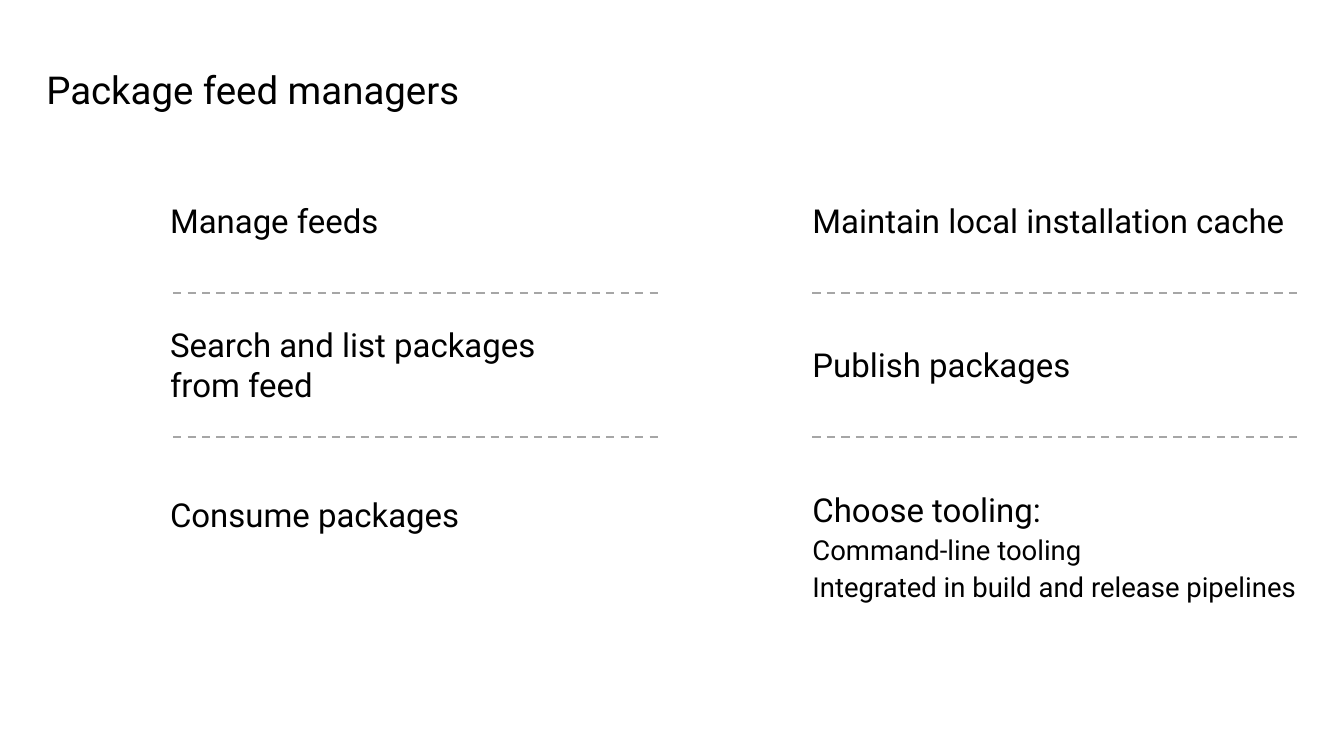
from dataclasses import dataclass

from lxml import etree
from pptx import Presentation
from pptx import util as u
from pptx.dml.color import RGBColor
from pptx.enum import dml, shapes, text
from pptx.oxml.ns import qn


@dataclass(frozen=True)
class Theme:
    font: str = "Roboto"
    ink: str = "000000"
    rule: str = "A6A6A6"
    paper: str = "FFFFFF"
    title: int = 28
    heading: int = 24
    detail: int = 20


class Deck:
    def __init__(self, theme, width, height):
        self.theme = theme
        self.prs = Presentation()
        self.prs.slide_width, self.prs.slide_height = u.Cm(width), u.Cm(height)
        self.s = self.prs.slides.add_slide(self.prs.slide_layouts[5])
        fill = self.s.background.fill
        fill.solid()
        fill.fore_color.rgb = RGBColor.from_string(theme.paper)

    def frame(self, sp, anchor):
        tf = sp.text_frame
        tf.word_wrap = True
        tf.auto_size = text.MSO_AUTO_SIZE.NONE
        tf.vertical_anchor = anchor
        tf.margin_left = tf.margin_top = tf.margin_right = tf.margin_bottom = 0
        return tf

    def set_text(self, p, words, size):
        p.text = words
        p.alignment = text.PP_ALIGN.LEFT
        for r in p.runs:
            r.font.name = self.theme.font
            r.font.size = u.Pt(size)
            r.font.color.rgb = RGBColor.from_string(self.theme.ink)

    def title(self, words, x, y, w, h):
        sp = self.s.shapes.title
        sp.left, sp.top, sp.width, sp.height = map(u.Cm, (x, y, w, h))
        p = self.frame(sp, text.MSO_ANCHOR.TOP).paragraphs[0]
        self.set_text(p, words, self.theme.title)
        p.line_spacing = u.Pt(32)

    def item(self, heading, details, x, middle, w, h):
        sp = self.s.shapes.add_textbox(*map(u.Cm, (x, middle - h / 2, w, h)))
        tf = self.frame(sp, text.MSO_ANCHOR.MIDDLE)
        self.set_text(tf.paragraphs[0], heading, self.theme.heading)
        for detail in details:
            p = tf.add_paragraph()
            self.set_text(p, detail, self.theme.detail)
            p.space_before = u.Pt(3)

    def divider(self, x, y, w):
        sp = self.s.shapes.add_connector(
            shapes.MSO_CONNECTOR.STRAIGHT, *map(u.Cm, (x, y, x + w, y)))
        sp.line.color.rgb = RGBColor.from_string(self.theme.rule)
        sp.line.width = u.Pt(1.5)
        sp.line.dash_style = dml.MSO_LINE.DASH
        etree.SubElement(sp._element.spPr, qn("a:effectLst"))


def main():
    deck = Deck(Theme(), 34.54, 19.43)
    deck.title("Package feed managers", 1.19, 1.75, 32.13, 1.14)

    column_width, row_pitch = 12.52, 3.71
    first_middle, first_divider = 5.66, 7.52
    tooling = ["Command-line tooling", "Integrated in build and release pipelines"]
    columns = [
        (4.37, 4.45, [("Manage feeds", [], 1.02, 0),
                      ("Search and list packages\nfrom feed", [], 2.06, 0),
                      ("Consume packages", [], 1.02, 0.15)]),
        (20.88, 20.88, [("Maintain local installation cache", [], 1.02, 0),
                        ("Publish packages", [], 1.02, 0),
                        ("Choose tooling:", tooling, 2.95, 0.97)]),
    ]
    for text_x, divider_x, items in columns:
        for row, (heading, details, height, drop) in enumerate(items):
            middle = first_middle + row * row_pitch + drop
            deck.item(heading, details, text_x, middle, column_width, height)
            if row < len(items) - 1:
                deck.divider(divider_x, first_divider + row * row_pitch, column_width)

    deck.prs.save("out.pptx")


if __name__ == "__main__":
    main()
